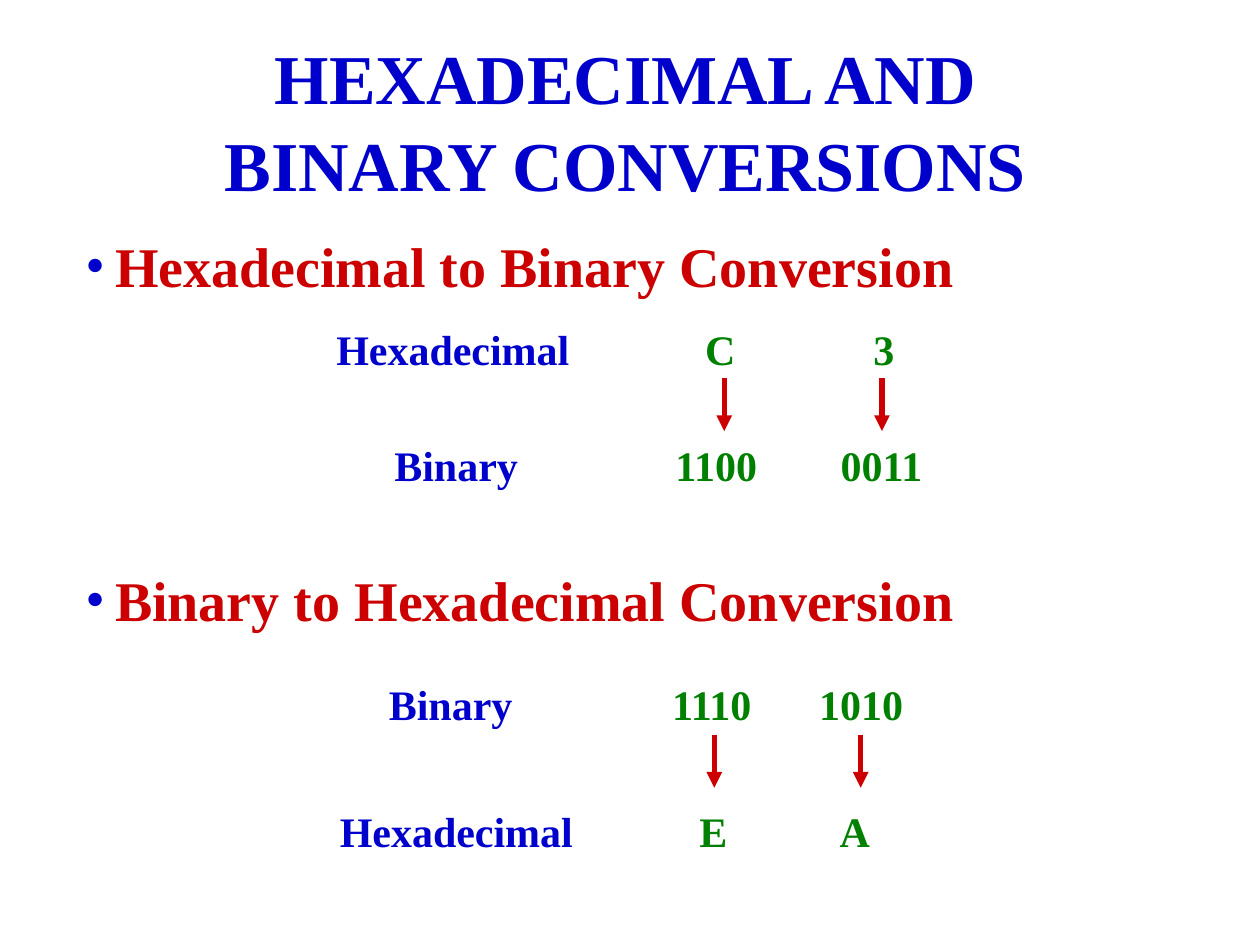
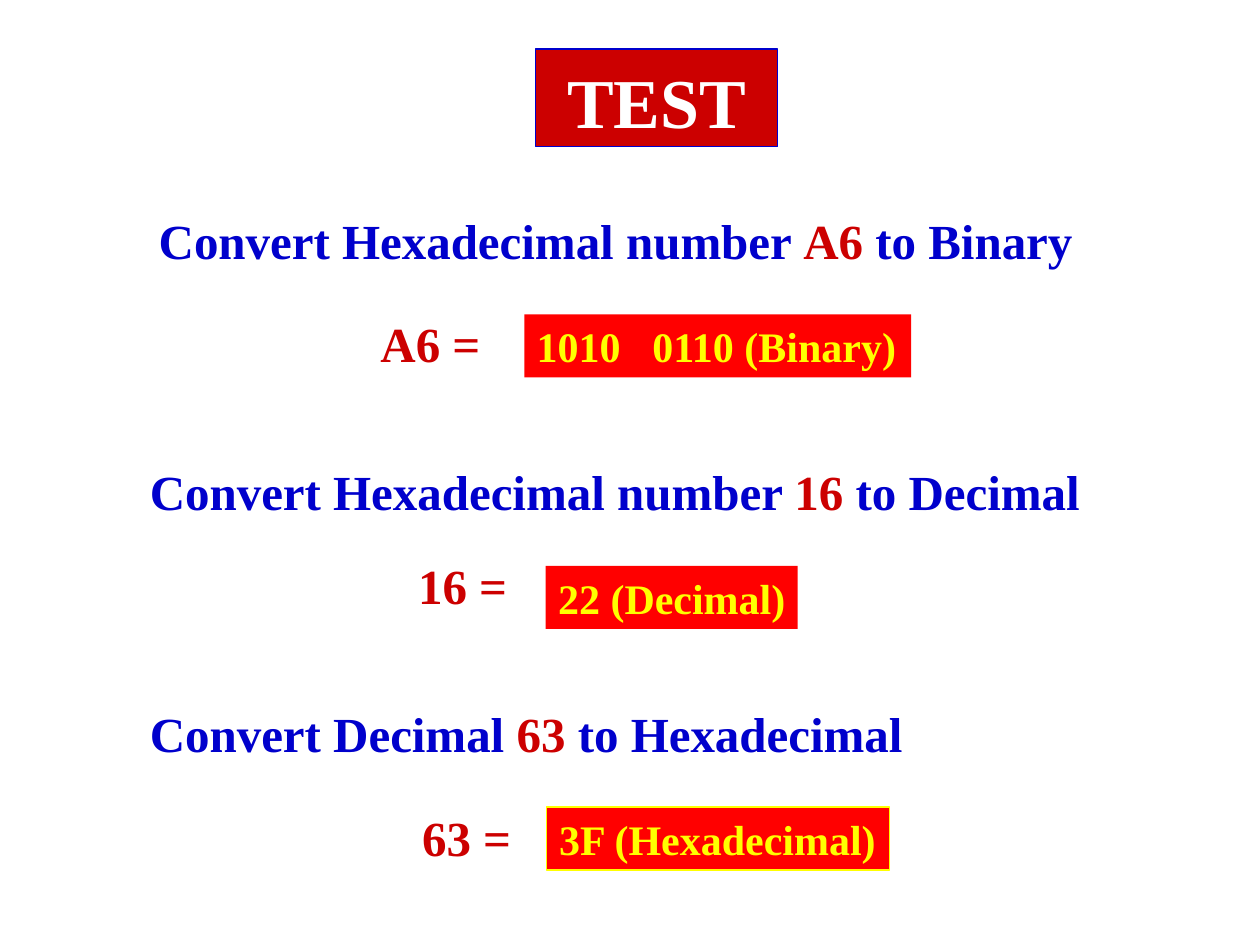
from collections import namedtuple

from lxml import etree
from pptx import Presentation
from pptx import util as u
from pptx.dml.color import RGBColor
from pptx.enum import shapes, text
from pptx.oxml import ns

FONT = "Times New Roman"
BLUE, RED, GREEN = "0000CC", "CC0000", "008000"
WHITE, YELLOW, BRIGHT_RED = "FFFFFF", "FFFF00", "FF0000"
INSET = 0.25

Box = namedtuple("Box", "left top width height")
Row = namedtuple("Row", "left top label values centers")
Arrows = namedtuple("Arrows", "top centers")


def color(value):
    return RGBColor.from_string(value)


def add_element(parent, tag, **attributes):
    return etree.SubElement(parent, ns.qn(tag), attributes)


def place(shape, box):
    shape.left, shape.top, shape.width, shape.height = (u.Cm(side) for side in box)


def set_frame(shape, wrap=True):
    frame = shape.text_frame
    frame.word_wrap = wrap
    frame.auto_size = text.MSO_AUTO_SIZE.NONE
    frame.vertical_anchor = text.MSO_ANCHOR.TOP
    frame.margin_left = frame.margin_right = u.Cm(INSET)
    frame.margin_top = frame.margin_bottom = u.Cm(INSET / 2)
    return frame.paragraphs[0]


def add_runs(paragraph, size, *parts):
    for words, shade in parts:
        run = paragraph.add_run()
        run.text = words
        run.font.name = FONT
        run.font.size = u.Pt(size)
        run.font.bold = True
        run.font.color.rgb = color(shade)


def add_tabs(paragraph, kind, positions):
    tabs = add_element(paragraph._p.get_or_add_pPr(), "a:tabLst")
    for position in positions:
        add_element(tabs, "a:tab", pos=str(u.Cm(position)), algn=kind)


def add_bullet(paragraph, indent, shade):
    properties = paragraph._p.get_or_add_pPr()
    properties.set("marL", str(u.Cm(indent)))
    properties.set("indent", str(-u.Cm(indent)))
    add_element(add_element(properties, "a:buClr"), "a:srgbClr", val=shade)
    add_element(properties, "a:buFont", typeface=FONT)
    add_element(properties, "a:buChar", char="•")


def add_text(slide, box, size, *parts):
    shape = slide.shapes.add_textbox(*(u.Cm(side) for side in box))
    paragraph = set_frame(shape)
    add_runs(paragraph, size, *parts)
    return paragraph


def paint(shape, fill, line=None):
    shape.fill.solid()
    shape.fill.fore_color.rgb = color(fill)
    if line:
        shape.line.color.rgb = color(line)
        shape.line.width = u.Pt(0.75)
    else:
        shape.line.fill.background()


def add_title(slide, box, words, shade):
    title = slide.shapes.title
    place(title, box)
    paragraph = set_frame(title)
    paragraph.alignment = text.PP_ALIGN.CENTER
    paragraph.line_spacing = 1.04
    paragraph.space_before = u.Pt(0)
    add_runs(paragraph, 40, (words, shade))
    return title


def add_arrow(slide, x, top, length=1.07):
    arrow = slide.shapes.add_connector(
        shapes.MSO_CONNECTOR.STRAIGHT, u.Cm(x), u.Cm(top), u.Cm(x), u.Cm(top + length))
    arrow.line.color.rgb = color(RED)
    arrow.line.width = u.Pt(3)
    add_element(arrow.line._get_or_add_ln(), "a:tailEnd", type="triangle")
    add_element(arrow._element.spPr, "a:effectLst")


def add_conversion(slide, box, heading, rows, arrows):
    paragraph = add_text(slide, box, 32)
    add_bullet(paragraph, 0.6, BLUE)
    add_runs(paragraph, 32, (heading, RED))
    for row in rows:
        row_box = Box(box.left + row.left, box.top + row.top, 13.5, 1.27)
        paragraph = add_text(slide, row_box, 24)
        add_tabs(paragraph, "ctr", [center - row.left - INSET for center in row.centers])
        add_runs(paragraph, 24, (row.label, BLUE),
                 *(("\t" + value, GREEN) for value in row.values))
    for center in arrows.centers:
        add_arrow(slide, box.left + center, box.top + arrows.top)


def add_exercise(slide, box, question, equation, equation_at, answer, answer_box, line=None):
    add_text(slide, box, 28, *zip(question, (BLUE, RED, BLUE)))
    left, top = equation_at
    add_text(slide, Box(box.left + left, box.top + top, 3, 1.45), 28, (equation, RED))
    rectangle = slide.shapes.add_shape(shapes.MSO_SHAPE.RECTANGLE, 0, 0, 0, 0)
    place(rectangle, answer_box._replace(
        left=box.left + answer_box.left, top=box.top + answer_box.top))
    rectangle.shadow.inherit = False
    paint(rectangle, BRIGHT_RED, line)
    paragraph = set_frame(rectangle, wrap=False)
    paragraph.alignment = text.PP_ALIGN.LEFT
    if "\t" in answer:
        add_tabs(paragraph, "l", [2.33])
    add_runs(paragraph, 24, (answer, YELLOW))


def build_conversions(slide):
    add_title(slide, Box(3.18, 0.5, 18.85, 3.66),
              "HEXADECIMAL AND BINARY CONVERSIONS", BLUE)
    section = Box(1.47, 4.55, 19.48, 1.63)
    add_conversion(
        slide, section, "Hexadecimal to Binary Conversion",
        [Row(5.06, 1.85, "Hexadecimal", ("C", "3"), (13.05, 16.35)),
         Row(6.23, 4.18, "Binary", ("1100", "0011"), (12.97, 16.3))],
        Arrows(3.07, (13.13, 16.31)))
    add_conversion(
        slide, section._replace(top=11.28), "Binary to Hexadecimal Conversion",
        [Row(6.12, 2.28, "Binary", ("1110", "1010"), (12.88, 15.89)),
         Row(5.13, 4.84, "Hexadecimal", ("E", "A"), (12.91, 15.76))],
        Arrows(3.53, (12.93, 15.88)))


def build_test(slide):
    title = add_title(slide, Box(10.8, 0.99, 4.88, 1.96), "TEST", WHITE)
    paint(title, RED, BLUE)
    add_exercise(
        slide, Box(2.95, 4.12, 20, 1.45),
        ("Convert Hexadecimal number ", "A6 ", "to Binary"),
        "A6 =", (4.47, 2.08), "1010\t0110 (Binary)", Box(7.62, 2.22, 7.8, 1.27))
    add_exercise(
        slide, Box(2.77, 9.17, 20, 1.45),
        ("Convert Hexadecimal number ", "16 ", "to Decimal"),
        "16 =", (5.41, 1.9), "22 (Decimal)", Box(8.23, 2.24, 5.08, 1.27))
    add_exercise(
        slide, Box(2.77, 14.05, 20, 1.45),
        ("Convert Decimal", " 63 ", "to Hexadecimal"),
        "63 =", (5.49, 2.1), "3F (Hexadecimal)", Box(8.25, 2.22, 6.91, 1.27), YELLOW)


def main():
    presentation = Presentation()
    presentation.slide_width = u.Cm(25.4)
    presentation.slide_height = u.Cm(19.05)
    title_only = presentation.slide_layouts[5]
    for build in (build_conversions, build_test):
        build(presentation.slides.add_slide(title_only))
    presentation.save("out.pptx")


if __name__ == "__main__":
    main()
